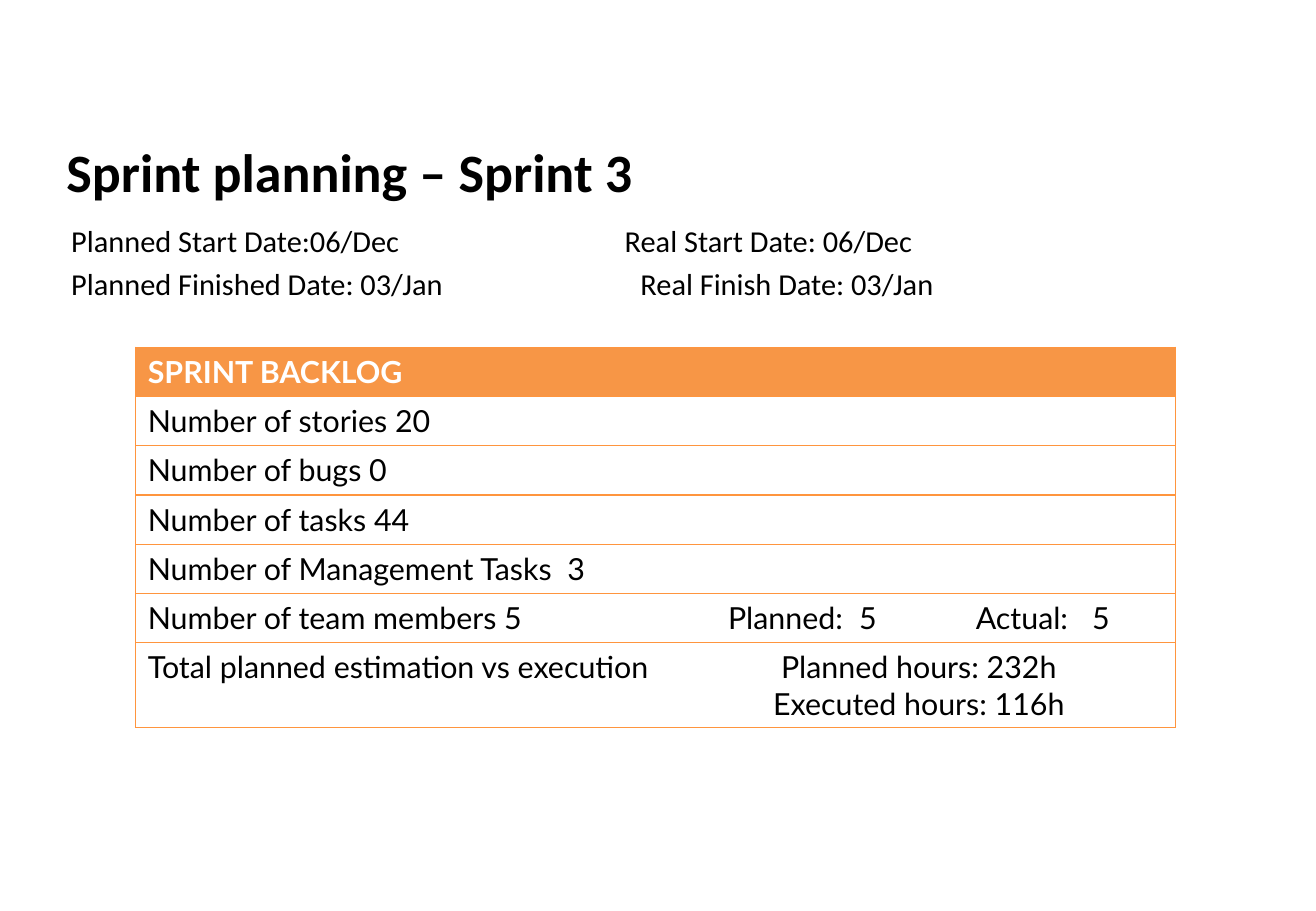
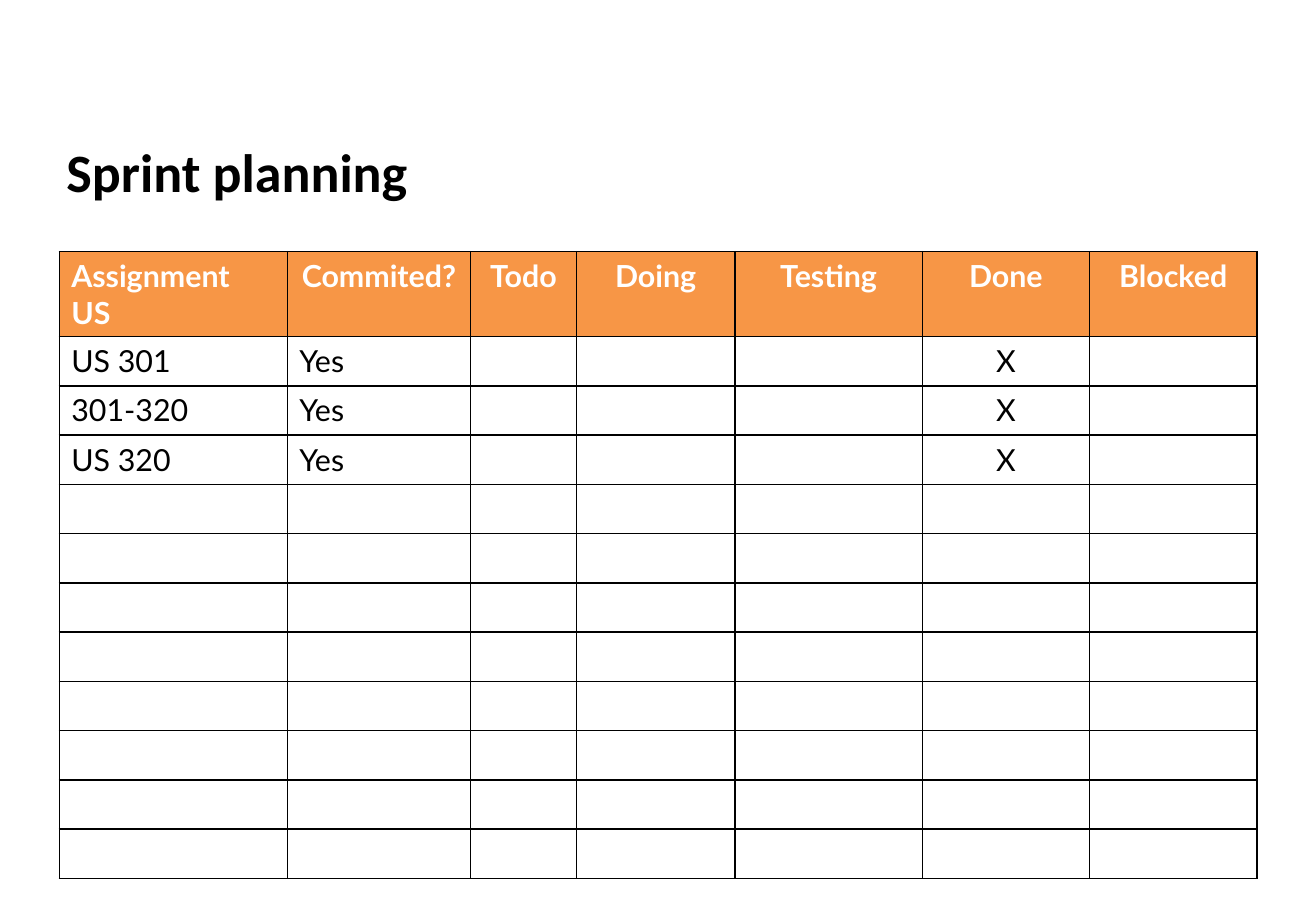
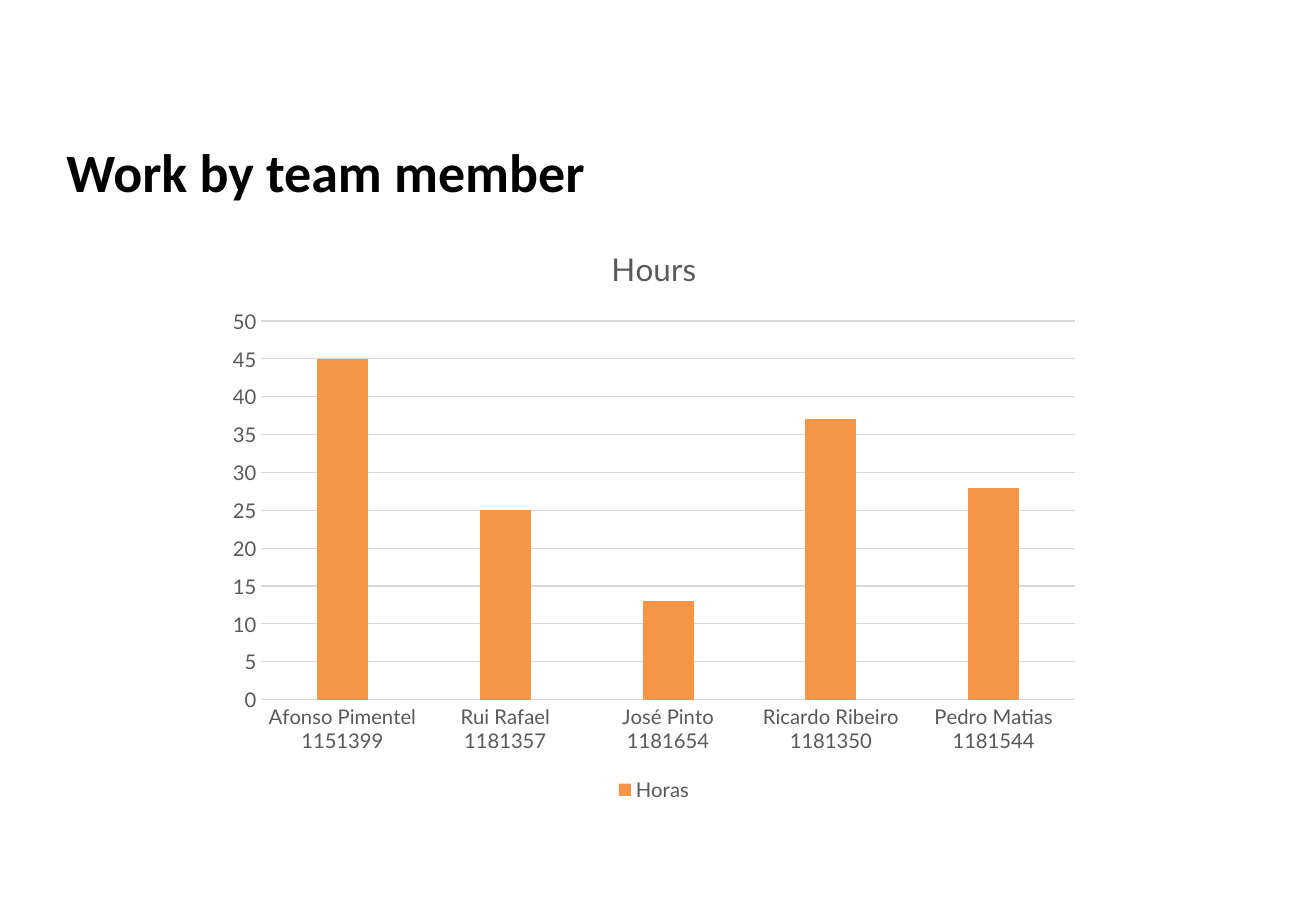
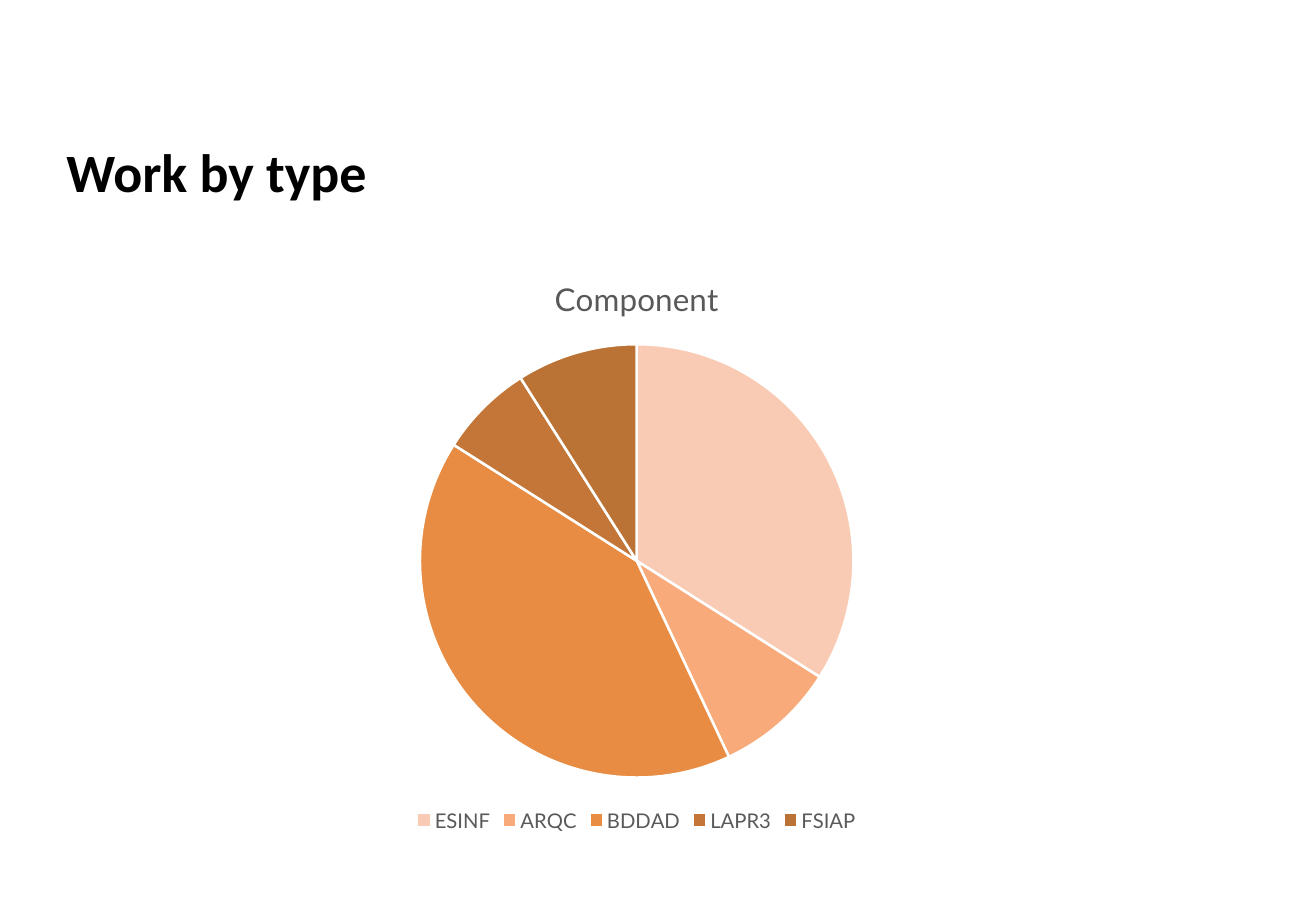
from dataclasses import dataclass
from typing import Optional

from lxml.etree import SubElement
from pptx import Presentation
from pptx.chart.data import CategoryChartData
from pptx.dml.color import RGBColor
from pptx.enum.chart import XL_CHART_TYPE as ChartType
from pptx.enum.chart import XL_LEGEND_POSITION as LegendPosition
from pptx.enum.chart import XL_TICK_MARK as TickMark
from pptx.enum.text import MSO_ANCHOR as Anchor
from pptx.enum.text import PP_ALIGN as Align
from pptx.oxml.ns import qn
from pptx.util import Cm, Pt

BLACK = RGBColor(0x00, 0x00, 0x00)
WHITE = RGBColor(0xFF, 0xFF, 0xFF)
ORANGE = RGBColor(0xF7, 0x96, 0x46)
RULE_ORANGE = RGBColor(0xFF, 0x95, 0x3E)
CHART_TEXT = RGBColor(0x59, 0x59, 0x59)
GRID_GREY = RGBColor(0xD9, 0xD9, 0xD9)
SLICE_COLORS = [
    RGBColor(0xFA, 0xCB, 0xB4),
    RGBColor(0xF8, 0xAA, 0x7A),
    RGBColor(0xE7, 0x8C, 0x42),
    RGBColor(0xC3, 0x76, 0x37),
    RGBColor(0xBB, 0x72, 0x35),
]
TITLE_FONT = "Calibri"
BODY_FONT = "Lato"
BLANK_LAYOUT = 6
ROW_HEIGHT = 1.03


@dataclass(frozen=True)
class Frame:
    """A rectangle in centimetres."""
    left: float
    top: float
    width: float
    height: float

    def lengths(self) -> tuple:
        return Cm(self.left), Cm(self.top), Cm(self.width), Cm(self.height)


@dataclass(frozen=True)
class CellText:
    lines: tuple = ()
    align: Align = Align.LEFT
    margin: float = 0.25
    tabs: tuple = ()


@dataclass(frozen=True)
class Rule:
    """The line drawn around table cells."""
    color: RGBColor
    width: float
    inner_verticals: bool


@dataclass(frozen=True)
class ChartSpec:
    kind: ChartType
    frame: Frame
    title: str
    series: str
    values: dict


TITLE_FRAME = Frame(1.14, 2.77, 25.12, 1.6)
DATES_FRAME = Frame(1.24, 4.52, 25.12, 1.98)


def left(*lines: str) -> CellText:
    return CellText(lines)


def centred(*lines: str) -> CellText:
    return CellText(lines, Align.CENTER)


EMPTY = CellText()

BACKLOG_RULE = Rule(RULE_ORANGE, 0.75, inner_verticals=False)
BACKLOG = [
    [left("SPRINT BACKLOG"), EMPTY],
    [left("Number of stories 20"), EMPTY],
    [left("Number of bugs 0"), EMPTY],
    [left("Number of tasks 44"), EMPTY],
    [left("Number of Management Tasks  3"), EMPTY],
    [left("Number of team members 5"),
     CellText(("Planned:\t5\tActual:\t5",), margin=1.38, tabs=(2.74, 5.18, 7.61))],
    [left("Total planned estimation vs execution"),
     centred("Planned hours: 232h", "Executed hours: 116h")],
]

BOARD_RULE = Rule(BLACK, 1, inner_verticals=True)
BOARD_STATES = ["Commited?", "Todo", "Doing", "Testing", "Done", "Blocked"]
BOARD_STORIES = ["US 301", "301-320", "US 320"]
BOARD_SPARE_ROWS = 8
BOARD = (
    [[left("Assignment US")] + [centred(state) for state in BOARD_STATES]]
    + [[left(story), left("Yes"), EMPTY, EMPTY, EMPTY, centred("X"), EMPTY]
       for story in BOARD_STORIES]
    + [[EMPTY] * 7 for _ in range(BOARD_SPARE_ROWS)]
)

HOURS_CHART = ChartSpec(
    ChartType.COLUMN_CLUSTERED, Frame(4.5, 4.65, 18.34, 12.22), "Hours", "Horas",
    {"Afonso Pimentel 1151399": 45, "Rui Rafael 1181357": 25, "José Pinto 1181654": 13,
     "Ricardo Ribeiro 1181350": 37, "Pedro Matias 1181544": 28},
)
TYPE_CHART = ChartSpec(
    ChartType.PIE, Frame(4.14, 5.28, 18.34, 12.22), "Component", "Series 1",
    {"ESINF": 34, "ARQC": 9, "BDDAD": 41, "LAPR3": 7, "FSIAP": 9},
)


def style_font(font, name: str, size: float, color: RGBColor, bold: bool = False) -> None:
    font.name = name
    font.size = Pt(size)
    font.bold = bold
    font.color.rgb = color


def add_span(para, text: str, name: str, size: float, color: RGBColor, bold: bool = False) -> None:
    span = para.add_run()
    span.text = text
    style_font(span.font, name, size, color, bold)


def add_tabs(para, positions: tuple) -> None:
    if positions:
        tab_list = SubElement(para._p.get_or_add_pPr(), qn("a:tabLst"))
        for position in positions:
            SubElement(tab_list, qn("a:tab"), pos=str(Cm(position)), algn="l")


def get_para(text_frame, index: int):
    return text_frame.paragraphs[0] if index == 0 else text_frame.add_paragraph()


def add_text_box(page, frame: Frame):
    text_frame = page.shapes.add_textbox(*frame.lengths()).text_frame
    text_frame.word_wrap = True
    return text_frame


def add_page(deck, title: str):
    """Add a blank slide with the shared title."""
    page = deck.slides.add_slide(deck.slide_layouts[BLANK_LAYOUT])
    text_frame = add_text_box(page, TITLE_FRAME)
    text_frame.vertical_anchor = Anchor.MIDDLE
    add_span(text_frame.paragraphs[0], title, TITLE_FONT, 32, BLACK, bold=True)
    return page


def add_dates(page) -> None:
    text_frame = add_text_box(page, DATES_FRAME)
    lines = [
        ("Planned Start Date:06/Dec", "Real Start Date: 06/Dec", 11.57),
        ("Planned Finished Date: 03/Jan", "Real Finish Date: 03/Jan", 11.9),
    ]
    for index, (planned, real, tab) in enumerate(lines):
        para = get_para(text_frame, index)
        para.space_after = Pt(4)
        add_tabs(para, (tab,))
        add_span(para, f"{planned}\t{real}", TITLE_FONT, 18, BLACK)


def set_borders(cell, rule: Rule, first: bool, last: bool) -> None:
    """Draw the four edges; inner verticals only when the rule asks for them."""
    edges = {
        "a:lnL": first or rule.inner_verticals,
        "a:lnR": last or rule.inner_verticals,
        "a:lnT": True,
        "a:lnB": True,
    }
    properties = cell._tc.get_or_add_tcPr()
    for index, (tag, visible) in enumerate(edges.items()):
        line = SubElement(properties, qn(tag), w=str(Pt(rule.width)))
        if visible:
            fill = SubElement(line, qn("a:solidFill"))
            SubElement(fill, qn("a:srgbClr"), val=str(rule.color))
        else:
            SubElement(line, qn("a:noFill"))
        properties.insert(index, line)


def fill_cell(cell, content: CellText, header: bool) -> None:
    if header:
        cell.fill.solid()
        cell.fill.fore_color.rgb = ORANGE
    else:
        cell.fill.background()
    cell.margin_left = Cm(content.margin)
    for index, text in enumerate(content.lines):
        para = get_para(cell.text_frame, index)
        para.alignment = content.align
        add_tabs(para, content.tabs)
        add_span(para, text, BODY_FONT, 18, WHITE if header else BLACK, bold=header)


def add_grid(page, x: float, y: float, widths: list, rows: list, rule: Rule) -> None:
    """Add a table with an orange header row."""
    frame = Frame(x, y, sum(widths), ROW_HEIGHT * len(rows))
    table = page.shapes.add_table(len(rows), len(widths), *frame.lengths()).table
    table.first_row = False
    table.horz_banding = False
    for column, width in zip(table.columns, widths):
        column.width = Cm(width)
    last_column = len(widths) - 1
    for row_index, row in enumerate(rows):
        table.rows[row_index].height = Cm(ROW_HEIGHT)
        for column_index, content in enumerate(row):
            cell = table.cell(row_index, column_index)
            fill_cell(cell, content, header=row_index == 0)
            set_borders(cell, rule, column_index == 0, column_index == last_column)


def add_chart(page, spec: ChartSpec):
    data = CategoryChartData()
    data.categories = list(spec.values)
    data.add_series(spec.series, list(spec.values.values()))
    chart = page.shapes.add_chart(spec.kind, *spec.frame.lengths(), data).chart
    style_font(chart.font, BODY_FONT, 12, CHART_TEXT)
    chart.has_title = True
    chart.chart_title.include_in_layout = False
    add_span(chart.chart_title.text_frame.paragraphs[0], spec.title, BODY_FONT, 18.6, CHART_TEXT)
    chart.has_legend = True
    chart.legend.position = LegendPosition.BOTTOM
    chart.legend.include_in_layout = False
    style_font(chart.legend.font, BODY_FONT, 12, CHART_TEXT)
    return chart


def style_axis(axis, line_color: Optional[RGBColor]) -> None:
    axis.major_tick_mark = TickMark.NONE
    axis.minor_tick_mark = TickMark.NONE
    style_font(axis.tick_labels.font, BODY_FONT, 12, CHART_TEXT)
    if line_color is None:
        axis.format.line.fill.background()
    else:
        axis.format.line.color.rgb = line_color
        axis.format.line.width = Pt(0.75)


def style_columns(chart) -> None:
    plot = chart.plots[0]
    plot.vary_by_categories = False
    plot.gap_width = 219
    plot.overlap = -27
    fill = plot.series[0].format.fill
    fill.solid()
    fill.fore_color.rgb = ORANGE
    style_axis(chart.category_axis, GRID_GREY)
    values = chart.value_axis
    style_axis(values, None)
    values.minimum_scale, values.maximum_scale, values.major_unit = 0, 50, 5
    values.has_major_gridlines = True
    values.major_gridlines.format.line.color.rgb = GRID_GREY
    values.major_gridlines.format.line.width = Pt(0.75)


def style_slices(chart) -> None:
    plot = chart.plots[0]
    plot.vary_by_categories = True
    for index, color in enumerate(SLICE_COLORS):
        look = plot.series[0].points[index].format
        look.fill.solid()
        look.fill.fore_color.rgb = color
        look.line.color.rgb = WHITE
        look.line.width = Pt(1.5)


def main() -> None:
    deck = Presentation()
    deck.slide_width, deck.slide_height = Cm(27.51), Cm(19.05)

    backlog_page = add_page(deck, "Sprint planning – Sprint 3")
    add_grid(backlog_page, 2.84, 7.26, [11, 10.74], BACKLOG, BACKLOG_RULE)
    add_dates(backlog_page)

    board_page = add_page(deck, "Sprint planning")
    board_widths = [4.77, 3.83, 2.21, 3.32, 3.91, 3.5, 3.5]
    add_grid(board_page, 1.24, 5.26, board_widths, BOARD, BOARD_RULE)

    style_columns(add_chart(add_page(deck, "Work by team member"), HOURS_CHART))
    style_slices(add_chart(add_page(deck, "Work by type"), TYPE_CHART))

    deck.save("out.pptx")


if __name__ == "__main__":
    main()
